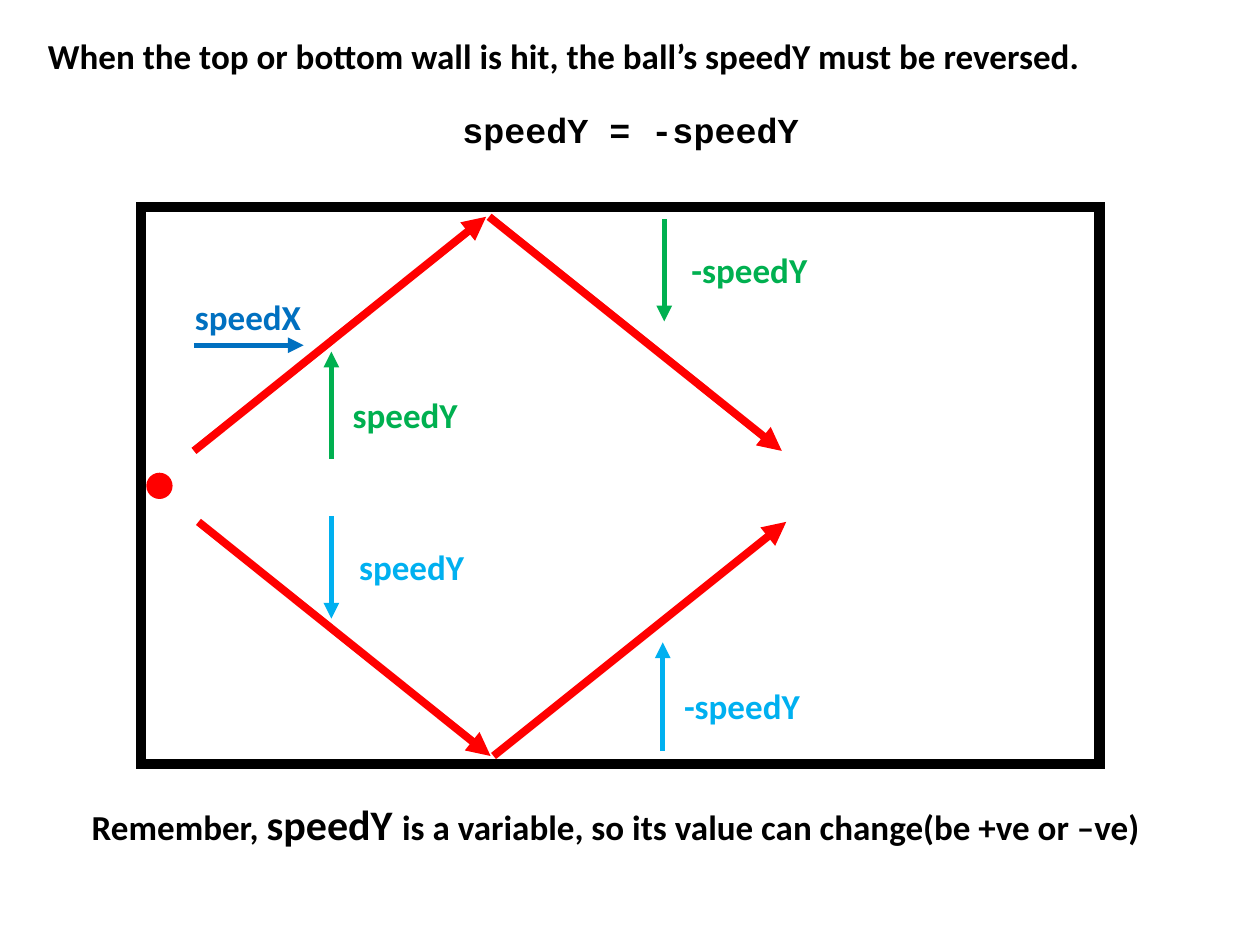
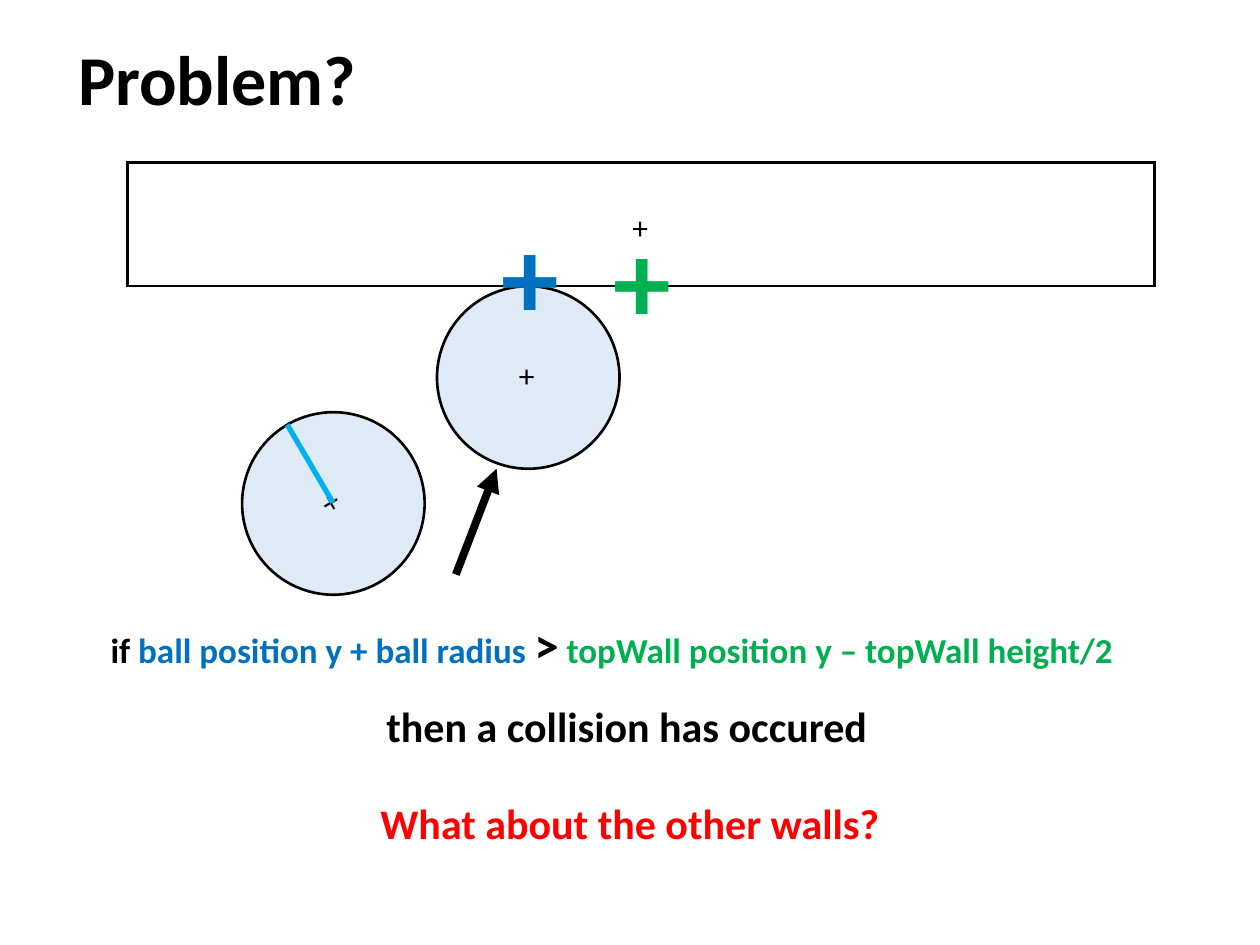
from dataclasses import dataclass

import pptx
import pptx.dml.color
import pptx.enum.shapes
import pptx.enum.text
import pptx.oxml.ns
import pptx.util
from lxml import etree

Cm = pptx.util.Cm
Pt = pptx.util.Pt
Shape = pptx.enum.shapes.MSO_SHAPE


@dataclass(frozen=True)
class Theme:
    black: str = "000000"
    white: str = "FFFFFF"
    red: str = "FF0000"
    blue: str = "0070C0"
    sky: str = "00B0F0"
    green: str = "00B050"
    ball: str = "DEEBF7"
    font: str = "Calibri"
    code_font: str = "Courier New"
    mark_size: int = 18
    text_size: int = 20
    large_size: int = 24
    operator_size: int = 28
    title_size: int = 40
    cross_size: int = 66
    outline: float = 1.5
    speed_line: float = 3
    path_line: float = 4.5
    court_line: float = 6


THEME = Theme()


def rgb(colour):
    return pptx.dml.color.RGBColor.from_string(colour)


def add_xml(parent, tag, **attributes):
    return etree.SubElement(parent, pptx.oxml.ns.qn(tag), attributes)


def write(frame, content, size=THEME.text_size, color=THEME.black, bold=True,
          font=THEME.font, wrap=False):
    """Fill a frame with a string, or with (text, overrides) pairs as runs."""
    frame.word_wrap = wrap
    frame.auto_size = pptx.enum.text.MSO_AUTO_SIZE.SHAPE_TO_FIT_TEXT
    frame.vertical_anchor = pptx.enum.text.MSO_ANCHOR.TOP
    paragraph = frame.paragraphs[0]
    paragraph.alignment = pptx.enum.text.PP_ALIGN.LEFT
    runs = [(content, {})] if isinstance(content, str) else content
    for text, overrides in runs:
        run = paragraph.add_run()
        run.text = text
        run.font.name = font
        run.font.bold = bold
        run.font.size = Pt(overrides.get("size", size))
        run.font.color.rgb = rgb(overrides.get("color", color))


class Deck:
    """Holds the theme and the slide being drawn; all places are in cm."""

    def __init__(self, theme):
        self.theme = theme
        self.presentation = pptx.Presentation()
        self.presentation.slide_width = Cm(25.4)
        self.presentation.slide_height = Cm(19.05)
        self.slide = None

    def start_slide(self, title, place, size):
        layout = self.presentation.slide_layouts.get_by_name("Title Only")
        self.slide = self.presentation.slides.add_slide(layout)
        heading = self.slide.shapes.title
        heading.left, heading.top, heading.width, heading.height = map(Cm, place)
        write(heading.text_frame, title, size=size)

    def text(self, content, place, **style):
        box = self.slide.shapes.add_textbox(*map(Cm, place))
        write(box.text_frame, content, **style)

    def shape(self, preset, place, fill=None, outline=None, rotation=0):
        shape = self.slide.shapes.add_shape(preset, *map(Cm, place))
        shape.shadow.inherit = False
        shape.rotation = rotation
        if fill:
            shape.fill.solid()
            shape.fill.fore_color.rgb = rgb(fill)
        else:
            shape.fill.background()
        if outline:
            shape.line.color.rgb = rgb(self.theme.black)
            shape.line.width = Pt(outline)
            add_xml(shape.line._get_or_add_ln(), "a:miter", lim="800000")
        else:
            shape.line.fill.background()
        return shape

    def line(self, start, end, color, width, arrow=True):
        line = self.slide.shapes.add_connector(
            pptx.enum.shapes.MSO_CONNECTOR.STRAIGHT, *map(Cm, start + end))
        line.line.color.rgb = rgb(color)
        line.line.width = Pt(width)
        if arrow:
            add_xml(line.line._get_or_add_ln(), "a:tailEnd", type="triangle")
        add_xml(line._element.spPr, "a:effectLst")

    def marked_ball(self, left, top, mark_place, rotation=0):
        """Draw a ball with a small cross at its centre."""
        theme = self.theme
        self.shape(Shape.OVAL, (left, top, 3.68, 3.68), theme.ball,
                   theme.outline, rotation)
        mark = self.shape(Shape.RECTANGLE, (*mark_place, 0.76, 1.02),
                          theme.ball, rotation=rotation)
        write(mark.text_frame, "+", size=theme.mark_size, bold=False, wrap=True)

    def save(self):
        self.presentation.save("out.pptx")


def draw_reversal(deck):
    theme = deck.theme
    deck.start_slide(
        "When the top or bottom wall is hit, the ball’s speedY must be reversed.",
        (0.71, 0.56, 21.49, 1.12), theme.text_size)
    deck.text("speedY = -speedY", (9.07, 2.06, 7.34, 1.12), font=theme.code_font)
    deck.shape(Shape.RECTANGLE, (2.84, 4.17, 19.33, 11.23),
               outline=theme.court_line)
    deck.shape(Shape.OVAL, (2.95, 9.53, 0.53, 0.53), theme.red)

    # The lower path starts slightly further right than the upper one.
    for shift, middle_y, wall_y in ((0, 9.09, 4.37), (0.09, 10.52, 15.24)):
        for start, end in (((3.91, middle_y), (9.8, wall_y)),
                           ((9.86, wall_y), (15.76, middle_y))):
            deck.line((start[0] + shift, start[1]), (end[0] + shift, end[1]),
                      theme.red, theme.path_line)

    speeds = (
        ("speedX", theme.blue, (3.91, 6.96), (6.12, 6.96), (3.68, 5.84)),
        ("speedY", theme.green, (6.68, 9.25), (6.68, 7.09), (6.86, 7.8)),
        ("-speedY", theme.green, (13.39, 4.42), (13.39, 6.48), (13.69, 4.88)),
        ("speedY", theme.sky, (6.68, 10.41), (6.68, 12.47), (6.99, 10.87)),
        ("-speedY", theme.sky, (13.36, 15.14), (13.36, 12.95), (13.54, 13.67)),
    )
    for label, color, start, end, label_place in speeds:
        deck.line(start, end, color, theme.speed_line)
        label_width = 2.87 if label.startswith("-") else 2.67
        deck.text(label, (*label_place, label_width, 1.12), color=color)

    deck.text([("Remember, ", {}),
               ("speedY ", {"size": theme.large_size}),
               ("is a variable, so its value can change(be +ve or –ve)", {})],
              (1.6, 15.98, 21.82, 1.27))


def draw_collision(deck):
    theme = deck.theme
    deck.start_slide("Problem?", (1.32, 0.58, 6.17, 1.96), theme.title_size)
    deck.shape(Shape.RECTANGLE, (2.57, 3.28, 20.7, 2.49), theme.white,
               theme.outline)
    deck.text("+", (12.5, 4.06, 0.84, 1.02), size=theme.mark_size, bold=False)

    deck.line((9.19, 11.58), (10.01, 9.45), theme.black, theme.path_line)
    deck.marked_ball(8.81, 5.77, (10.21, 7.06))
    deck.marked_ball(4.88, 8.31, (6.32, 9.58), rotation=60.3)
    deck.line((5.79, 8.56), (6.71, 10.13), theme.sky, theme.speed_line,
              arrow=False)
    for left, top, color in ((9.86, 3.99, theme.blue), (12.12, 4.06, theme.green)):
        deck.text("+", (left, top, 1.68, 3.07), size=theme.cross_size, color=color)

    deck.text([("if ", {}),
               ("ball position y + ball radius ", {"color": theme.blue}),
               (">", {"size": theme.operator_size}),
               (" ", {}),
               ("topWall position y – topWall height/2", {"color": theme.green})],
              (1.98, 12.27, 21.26, 1.45), wrap=True)
    deck.text("then a collision has occured", (7.54, 14, 10.31, 1.27),
              size=theme.large_size, wrap=True)
    deck.text("What about the other walls?", (7.42, 15.95, 11, 1.27),
              size=theme.large_size, color=theme.red, wrap=True)


def main():
    deck = Deck(THEME)
    draw_reversal(deck)
    draw_collision(deck)
    deck.save()


if __name__ == "__main__":
    main()
